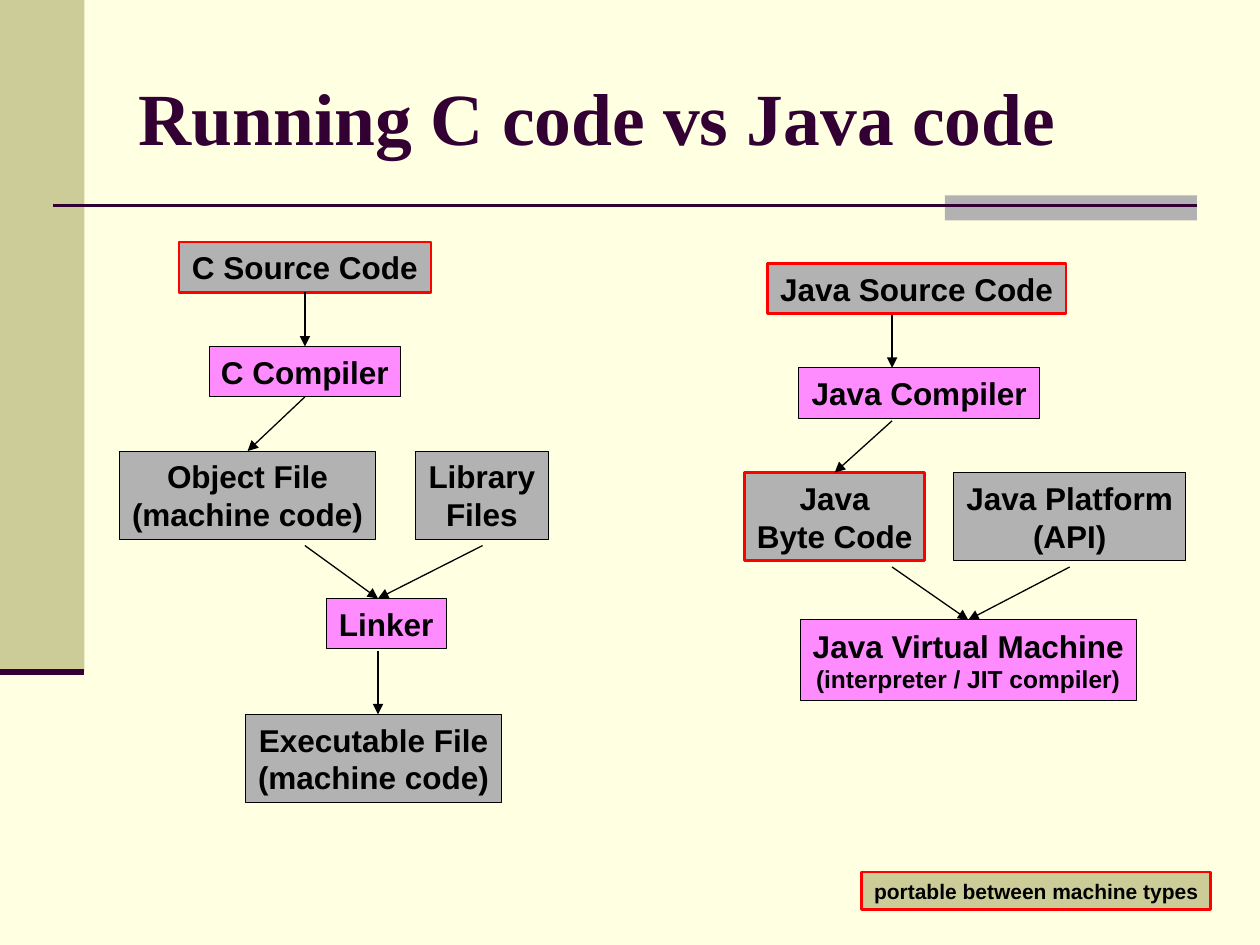
import pptx
import pptx.dml.color
import pptx.enum.shapes
import pptx.enum.text
import pptx.oxml.ns
import pptx.util
from lxml import etree
from pptx.util import Inches

COLORS = {
    "page": "FFFFE1", "sand": "CCCC99", "gray": "B2B2B2", "pink": "FF8CFF",
    "plum": "330033", "red": "FF0000", "black": "000000",
}
ROWS = [0, 0.83, 1.66, 2.83, 3.75]
# Arrows as x1, y1, x2, y2 from the flow's axis and top
LINKS = [
    (0, 0.41, 0, 0.83),
    (0, 1.25, -0.42, 1.66),
    (0, 2.41, 0.58, 2.83),
    (1.41, 2.41, 0.58, 2.83),
    (0.58, 3.25, 0.58, 3.75),
]


def rgb(name):
    return pptx.dml.color.RGBColor.from_string(COLORS[name])


def style(run, font, size, color):
    run.font.name = font
    run.font.size = pptx.util.Pt(size)
    run.font.bold = True
    run.font.color.rgb = rgb(color)


def add_rect(slide, box, fill):
    shape = slide.shapes.add_shape(
        pptx.enum.shapes.MSO_SHAPE.RECTANGLE, *map(Inches, box))
    shape.shadow.inherit = False
    shape.fill.solid()
    shape.fill.fore_color.rgb = rgb(fill)
    shape.line.fill.background()
    return shape


def add_line(slide, ends, color, width, arrow=False):
    line = slide.shapes.add_connector(
        pptx.enum.shapes.MSO_CONNECTOR.STRAIGHT, *map(Inches, ends))
    line.line.color.rgb = rgb(color)
    line.line.width = pptx.util.Pt(width)
    qn = pptx.oxml.ns.qn
    if arrow:
        etree.SubElement(line.line._get_or_add_ln(), qn("a:tailEnd"), type="triangle")
    etree.SubElement(line._element.spPr, qn("a:effectLst"))
    return line


def add_label(slide, box, text, fill, portable=False, sizes=(18, 18)):
    """Add a text box with one size per line; a red edge marks portable items."""
    shape = add_rect(slide, box, fill)
    shape.line.color.rgb = rgb("red" if portable else "black")
    shape.line.width = pptx.util.Pt(1.5 if portable else 0.5)
    frame = shape.text_frame
    frame.text = text
    frame.word_wrap = False
    frame.auto_size = pptx.enum.text.MSO_AUTO_SIZE.NONE
    frame.vertical_anchor = pptx.enum.text.MSO_ANCHOR.MIDDLE
    frame.margin_left = frame.margin_right = Inches(0.05)
    for para, size in zip(frame.paragraphs, sizes):
        para.alignment = pptx.enum.text.PP_ALIGN.CENTER
        style(para.runs[0], "Arial", size, "black")
    return shape


def add_frame(slide, wide, high):
    """Draw the side band and the rule under the title."""
    slide.background.fill.solid()
    slide.background.fill.fore_color.rgb = rgb("page")
    band, foot = 0.67, high - 2.17
    add_rect(slide, (0, 0, band, foot), "sand")
    add_rect(slide, (wide - 2.5, 1.55, 2, 0.2), "gray")
    add_line(slide, (0.42, 1.63, wide - 0.5, 1.63), "plum", 1.5)
    add_line(slide, (0, foot, band, foot), "plum", 3.5)


def add_title(slide, box, text):
    title = slide.shapes.title
    title.left, title.top, title.width, title.height = map(Inches, box)
    frame = title.text_frame
    frame.text = text
    frame.vertical_anchor = pptx.enum.text.MSO_ANCHOR.MIDDLE
    frame.paragraphs[0].alignment = pptx.enum.text.PP_ALIGN.LEFT
    style(frame.paragraphs[0].runs[0], "Times New Roman", 42, "plum")


def add_flow(slide, axis, top, nodes, links, joins):
    """Draw a flow; joins maps a link's index to its begin and end nodes."""
    shapes = [
        add_label(slide, (axis + x, top + ROWS[row], w, h), *look)
        for x, row, w, h, *look in nodes
    ]
    for i, (x1, y1, x2, y2) in enumerate(links):
        ends = (axis + x1, top + y1, axis + x2, top + y2)
        line = add_line(slide, ends, "black", 0.75, arrow=True)
        begin, end = joins.get(i, (None, None))
        if begin is not None:
            line.begin_connect(shapes[begin], 2)
        if end is not None:
            line.end_connect(shapes[end], 0)


def main():
    deck = pptx.Presentation()
    wide, high = 10, 7.5
    deck.slide_width, deck.slide_height = Inches(wide), Inches(high)
    slide = deck.slides.add_slide(deck.slide_layouts[5])
    add_frame(slide, wide, high)
    add_title(slide, (1, 0.3, 8.5, 1.25), "Running C code vs Java code")

    # Nodes: x from the axis, row, width, height, text, fill, portable, sizes
    native = [
        (-1, 0, 2, 0.4, "C Source Code", "gray", True),
        (-0.76, 1, 1.52, 0.4, "C Compiler", "pink"),
        (-1.47, 2, 2.03, 0.7, "Object File\n(machine code)", "gray"),
        (0.88, 2, 1.05, 0.7, "Library\nFiles", "gray"),
        (0.17, 3, 0.95, 0.4, "Linker", "pink"),
        (-0.47, 4, 2.03, 0.7, "Executable File\n(machine code)", "gray"),
    ]
    java = [
        (-0.99, 0, 2.37, 0.4, "Java Source Code", "gray", True),
        (-0.74, 1, 1.91, 0.4, "Java Compiler", "pink"),
        (-1.17, 2, 1.43, 0.7, "Java\nByte Code", "gray", True),
        (0.49, 2, 1.84, 0.7, "Java Platform\n(API)", "gray"),
        (-0.73, 3, 2.67, 0.64, "Java Virtual Machine\n(interpreter / JIT compiler)",
         "pink", False, (18, 14)),
    ]
    add_flow(slide, 2.42, 1.92, native, LINKS, {0: (0, 1), 1: (1, 2)})
    add_flow(slide, 7.08, 2.09, java, LINKS[:4],
             {1: (None, 2), 2: (None, 4), 3: (None, 4)})
    add_label(slide, (6.84, 6.92, 2.77, 0.3), "portable between machine types",
              "sand", True, (12,))
    deck.save("out.pptx")


if __name__ == "__main__":
    main()
